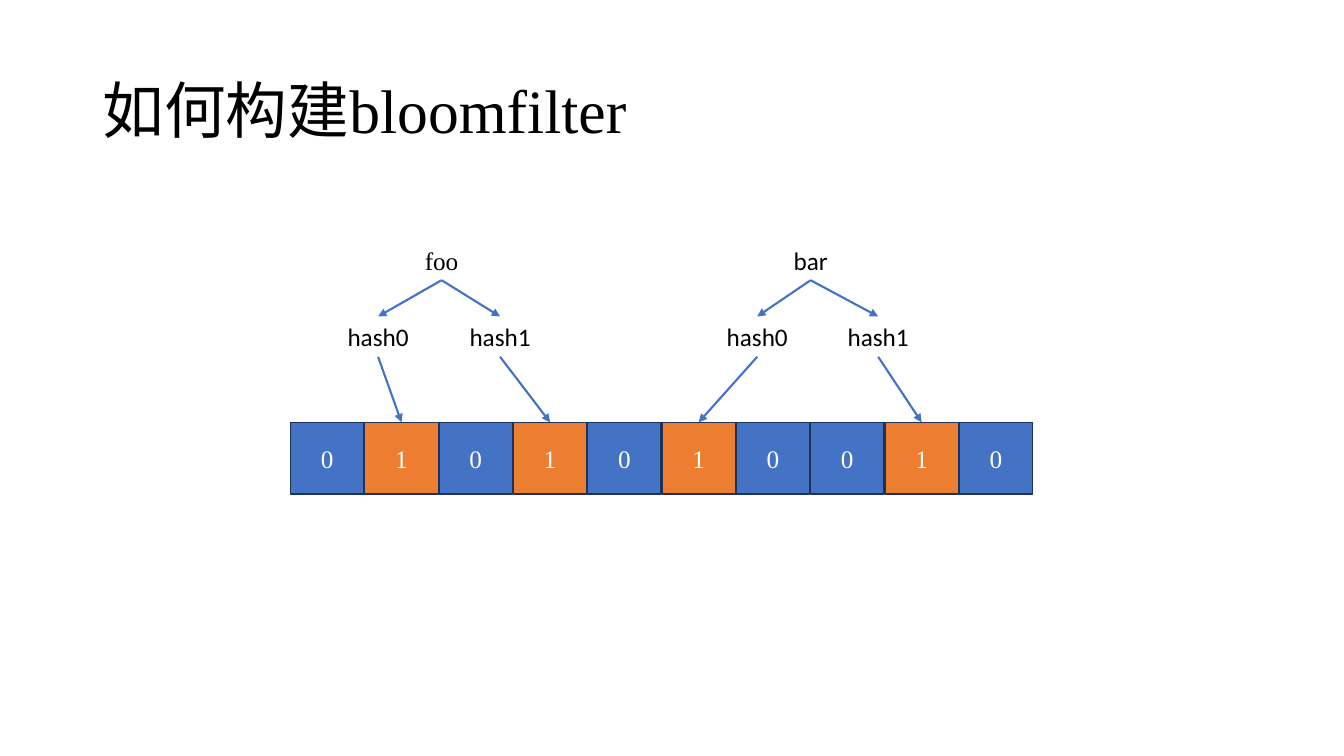
from dataclasses import dataclass

from lxml import etree
from pptx import Presentation
from pptx import util as u
from pptx.dml.color import RGBColor
from pptx.enum import shapes, text
from pptx.oxml import ns


@dataclass(frozen=True)
class Theme:
    """Colours, fonts and type sizes of the slide."""
    blue: str = "4472C4"
    orange: str = "ED7D31"
    edge: str = "1E3256"
    black: str = "000000"
    white: str = "FFFFFF"
    serif: str = "Times New Roman"
    sans: str = "Calibri"
    head: int = 44
    body: int = 18


def write(frame, words, font, size, color, align=None, wrap=True,
          anchor=text.MSO_ANCHOR.MIDDLE, spacing=None):
    """Put one formatted paragraph into a text frame."""
    frame.word_wrap = wrap
    frame.vertical_anchor = anchor
    para = frame.paragraphs[0]
    para.alignment = align
    para.line_spacing = spacing
    run = para.add_run()
    run.text = words
    run.font.name = font
    run.font.size = u.Pt(size)
    run.font.color.rgb = RGBColor.from_string(color)


class Deck:
    """Holds the theme and the current slide."""

    def __init__(self, theme):
        self.theme = theme
        self.show = Presentation()
        self.show.slide_width = u.Inches(13.33)
        self.show.slide_height = u.Inches(7.5)
        self.slide = self.show.slides.add_slide(self.show.slide_layouts[6])

    def title(self, words):
        """Add the slide title."""
        box = self.slide.shapes.add_textbox(
            u.Inches(0.92), u.Inches(0.4), u.Inches(11.5), u.Inches(1.45))
        write(box.text_frame, words, self.theme.serif, self.theme.head,
              self.theme.black, spacing=0.9)

    def label(self, words, mid, top, width, font):
        """Add a one-line label centred on mid."""
        box = self.slide.shapes.add_textbox(
            u.Inches(mid - width / 2), u.Inches(top), u.Inches(width), u.Inches(0.4))
        write(box.text_frame, words, font, self.theme.body, self.theme.black,
              align=text.PP_ALIGN.CENTER, wrap=False, anchor=text.MSO_ANCHOR.TOP)
        box.text_frame.auto_size = text.MSO_AUTO_SIZE.SHAPE_TO_FIT_TEXT

    def cell(self, bit, left, top, width, height):
        """Add one bit of the array, orange when it is set."""
        box = self.slide.shapes.add_shape(
            shapes.MSO_SHAPE.RECTANGLE, u.Inches(left), u.Inches(top),
            u.Inches(width), u.Inches(height))
        box.shadow.inherit = False
        fill = self.theme.orange if bit == "1" else self.theme.blue
        box.fill.solid()
        box.fill.fore_color.rgb = RGBColor.from_string(fill)
        box.line.color.rgb = RGBColor.from_string(self.theme.edge)
        box.line.width = u.Pt(1)
        write(box.text_frame, bit, self.theme.serif, self.theme.body,
              self.theme.white, align=text.PP_ALIGN.CENTER)

    def arrow(self, start, end):
        """Add a straight arrow between two points."""
        line = self.slide.shapes.add_connector(
            shapes.MSO_CONNECTOR.STRAIGHT, *map(u.Inches, start + end))
        line.line.color.rgb = RGBColor.from_string(self.theme.blue)
        line.line.width = u.Pt(1.5)
        etree.SubElement(line.line._get_or_add_ln(), ns.qn("a:tailEnd"), type="triangle")
        etree.SubElement(line._element.spPr, ns.qn("a:effectLst"))


def main():
    """Build the slide and save it."""
    theme = Theme()
    deck = Deck(theme)
    deck.title("如何构建bloomfilter")

    left, top, step, width, height = 2.88, 4.19, 0.737, 0.73, 0.71
    for spot, bit in enumerate("0101010010"):
        deck.cell(bit, left + spot * step, top, width, height)

    keys = [
        ("foo", theme.serif, 4.38, [(3.75, 1), (4.96, 3)]),
        ("bar", theme.sans, 8.04, [(7.51, 5), (8.71, 8)]),
    ]
    for key, font, mid, hashes in keys:
        deck.label(key, mid, 2.38, 0.54, font)
        for order, (point, spot) in enumerate(hashes):
            deck.label(f"hash{order}", point, 3.14, 0.82, theme.sans)
            deck.arrow((mid, 2.78), (point, 3.14))
            deck.arrow((point, 3.54), (left + spot * step + width / 2, top))

    deck.show.save("out.pptx")


if __name__ == "__main__":
    main()
